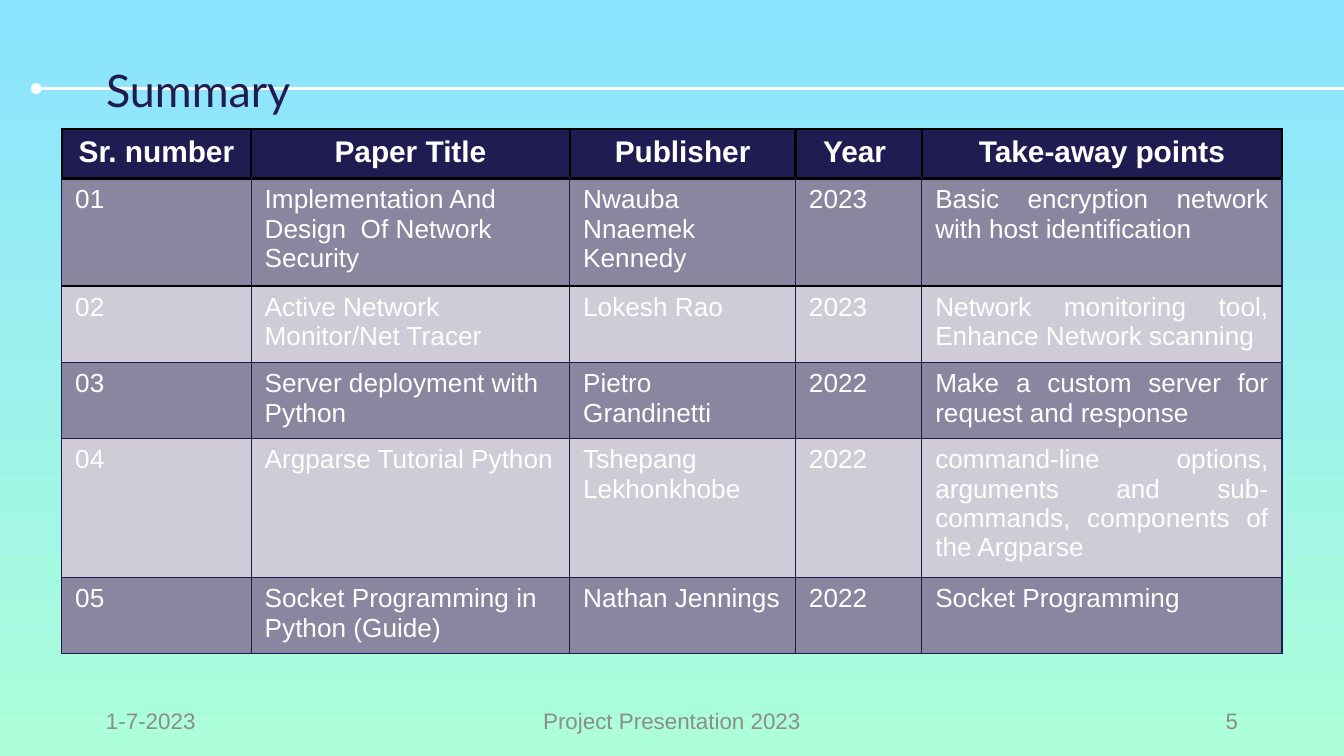
from typing import NamedTuple

from lxml.etree import SubElement
from pptx import Presentation
from pptx.dml.color import RGBColor
from pptx.enum.shapes import MSO_CONNECTOR
from pptx.enum.text import MSO_ANCHOR, PP_ALIGN
from pptx.oxml.ns import qn
from pptx.util import Inches, Pt

HEX = {
    "sky": "8BE3FF", "mint": "ACFFD9", "white": "FFFFFF", "black": "000000",
    "navy": "1F1C51", "edge": "1D1A51", "dark": "8A86A0", "pale": "CFCCD7",
    "gray": "8C8C8C",
}
LEFT, MID, RIGHT, JUST = PP_ALIGN.LEFT, PP_ALIGN.CENTER, PP_ALIGN.RIGHT, PP_ALIGN.JUSTIFY
THIN, THICK = ("edge", 0.75), ("black", 1.5)


class Foot(NamedTuple):
    text: str
    left: float
    width: float
    align: PP_ALIGN


class Paper(NamedTuple):
    num: str
    title: str
    author: str
    year: str
    point: str


FEET = [
    Foot("1-7-2023", 0.69, 2.25, LEFT),
    Foot("Project Presentation 2023", 3.31, 3.38, MID),
    Foot("5", 7.06, 2.25, RIGHT),
]
HEAD = Paper("Sr. number", "Paper Title", "Publisher", "Year ", "Take-away points")
PAPERS = [
    Paper("01", "Implementation And Design  Of Network Security",
          "Nwauba Nnaemek Kennedy", "2023",
          "Basic encryption network with host identification"),
    Paper("02", "Active Network Monitor/Net Tracer", "Lokesh Rao", "2023",
          "Network monitoring tool, Enhance Network scanning "),
    Paper("03", "Server deployment with Python", "Pietro Grandinetti", "2022",
          "Make a custom server for request and response"),
    Paper("04", "Argparse Tutorial Python", "Tshepang Lekhonkhobe", "2022",
          "command-line options, arguments and sub-commands, "
          "components of the Argparse"),
    Paper("05", "Socket Programming in Python (Guide)", "Nathan Jennings", "2022",
          "Socket Programming"),
]
COLS = [1.41, 2.37, 1.68, 0.94, 2.68]
ROWS = [0.35, 0.63, 0.45, 0.37, 0.48, 0.34]


def color(name: str) -> RGBColor:
    return RGBColor.from_string(HEX[name])


def write(frame, text: str, size: float, ink: str, align: PP_ALIGN,
          face: str = "Arial", bold: bool = False) -> None:
    frame.word_wrap = True
    para = frame.paragraphs[0]
    para.alignment = align
    run = para.add_run()
    run.text = text
    for key, val in {"name": face, "size": Pt(size), "bold": bold}.items():
        setattr(run.font, key, val)
    run.font.color.rgb = color(ink)


def edge(cell, top: tuple, low: tuple, side: tuple) -> None:
    """Give a cell its four borders, placed ahead of its fill."""
    props = cell._tc.get_or_add_tcPr()
    for spot, (tag, (ink, width)) in enumerate(
            {"lnL": side, "lnR": side, "lnT": top, "lnB": low}.items()):
        line = SubElement(props, qn(f"a:{tag}"), w=str(Pt(width)))
        fill = SubElement(line, qn("a:solidFill"))
        SubElement(fill, qn("a:srgbClr"), val=HEX[ink])
        props.insert(spot, line)


def add_rule(slide) -> None:
    rule = slide.shapes.add_connector(
        MSO_CONNECTOR.STRAIGHT, Inches(0.27), Inches(0.66), Inches(10), Inches(0.66))
    rule.line.color.rgb = color("white")
    rule.line.width = Pt(1.5)
    SubElement(rule.line._get_or_add_ln(), qn("a:headEnd"), type="oval")
    SubElement(rule._element.spPr, qn("a:effectLst"))


def add_title(slide, text: str) -> None:
    title = slide.shapes.title
    box = {"left": 0.69, "top": 0.37, "width": 6.65, "height": 0.59}
    for key, val in box.items():
        setattr(title, key, Inches(val))
    frame = title.text_frame
    for side in ("left", "top", "right", "bottom"):
        setattr(frame, f"margin_{side}", Inches(0.1))
    frame.vertical_anchor = MSO_ANCHOR.TOP
    write(frame, text, 24, "navy", LEFT, "Lato")
    # The title lies above the rule.
    slide.shapes._spTree.append(title._element)


def add_foot(slide, foot: Foot) -> None:
    box = slide.shapes.add_textbox(
        Inches(foot.left), Inches(5.21), Inches(foot.width), Inches(0.3))
    box.text_frame.vertical_anchor = MSO_ANCHOR.MIDDLE
    write(box.text_frame, foot.text, 12, "gray", foot.align)


def add_grid(slide) -> None:
    """Draw the table; rows grow from their least height to fit the text."""
    shape = slide.shapes.add_table(
        len(ROWS), len(COLS), Inches(0.46), Inches(0.96),
        Inches(sum(COLS)), Inches(sum(ROWS)))
    table = shape.table
    table.first_row = table.horz_banding = False
    for col, width in zip(table.columns, COLS):
        col.width = Inches(width)
    for row, height in zip(table.rows, ROWS):
        row.height = Inches(height)
    shape.width, shape.height = Inches(9.07), Inches(3.9)
    for r, paper in enumerate([HEAD, *PAPERS]):
        head = r == 0
        shade = "navy" if head else "dark" if r % 2 else "pale"
        top = THICK if r <= 2 else THIN
        low = THICK if r <= 1 else THIN
        for c, text in enumerate(paper):
            cell = table.cell(r, c)
            cell.fill.solid()
            cell.fill.fore_color.rgb = color(shade)
            align = MID if head else JUST if c == 4 else LEFT
            write(cell.text_frame, text, 16 if head else 14, "white", align, bold=head)
            edge(cell, top, low, THICK if head else THIN)


def main() -> None:
    deck = Presentation()
    deck.slide_width = Inches(10)
    deck.slide_height = deck.slide_width * 9 // 16
    slide = deck.slides.add_slide(deck.slide_layouts[5])
    back = slide.background.fill
    back.gradient()
    back.gradient_angle = 270
    for stop, name in zip(back.gradient_stops, ("sky", "mint")):
        stop.color.rgb = color(name)
    add_rule(slide)
    add_title(slide, "Summary")
    for foot in FEET:
        add_foot(slide, foot)
    add_grid(slide)
    deck.save("out.pptx")


if __name__ == "__main__":
    main()
